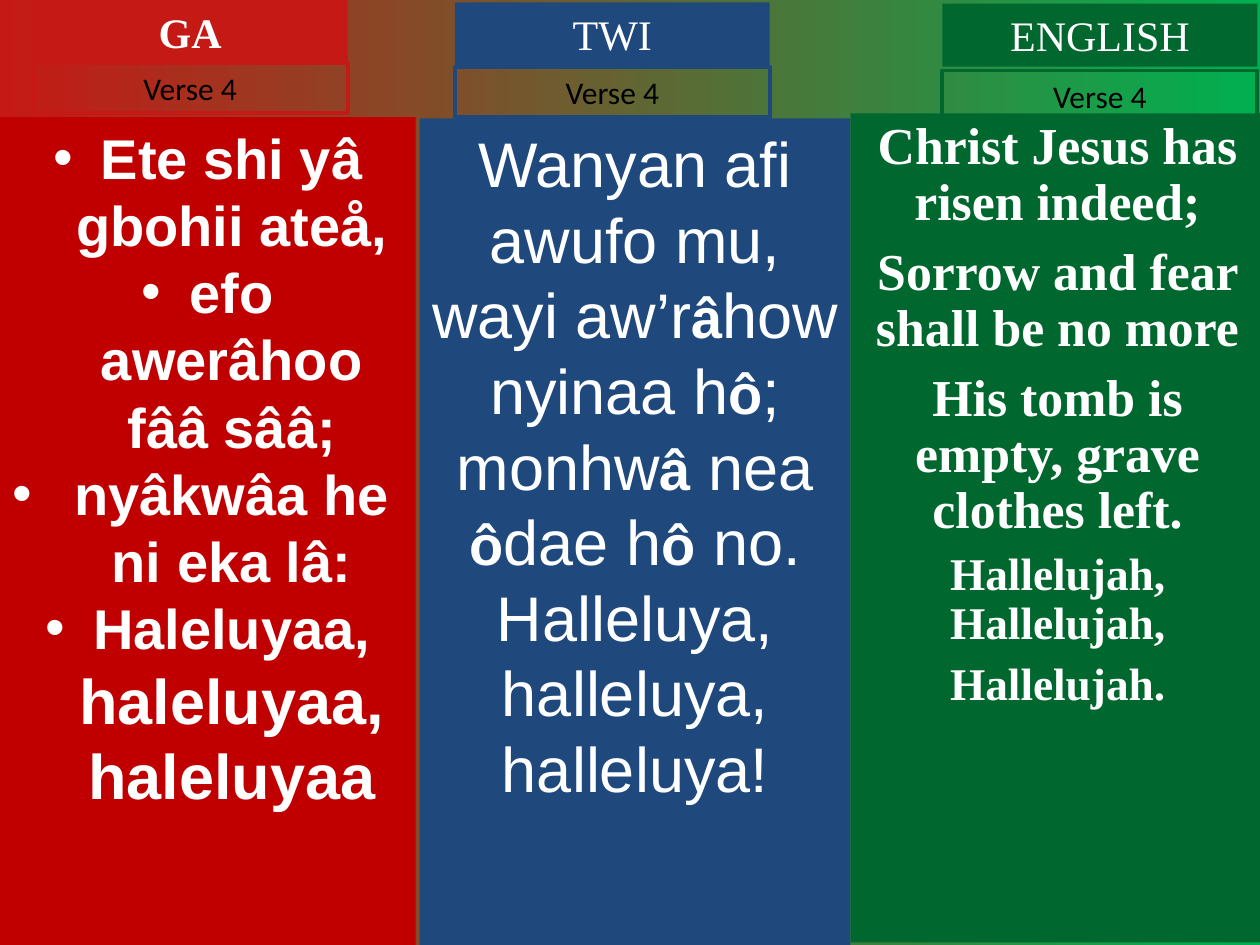
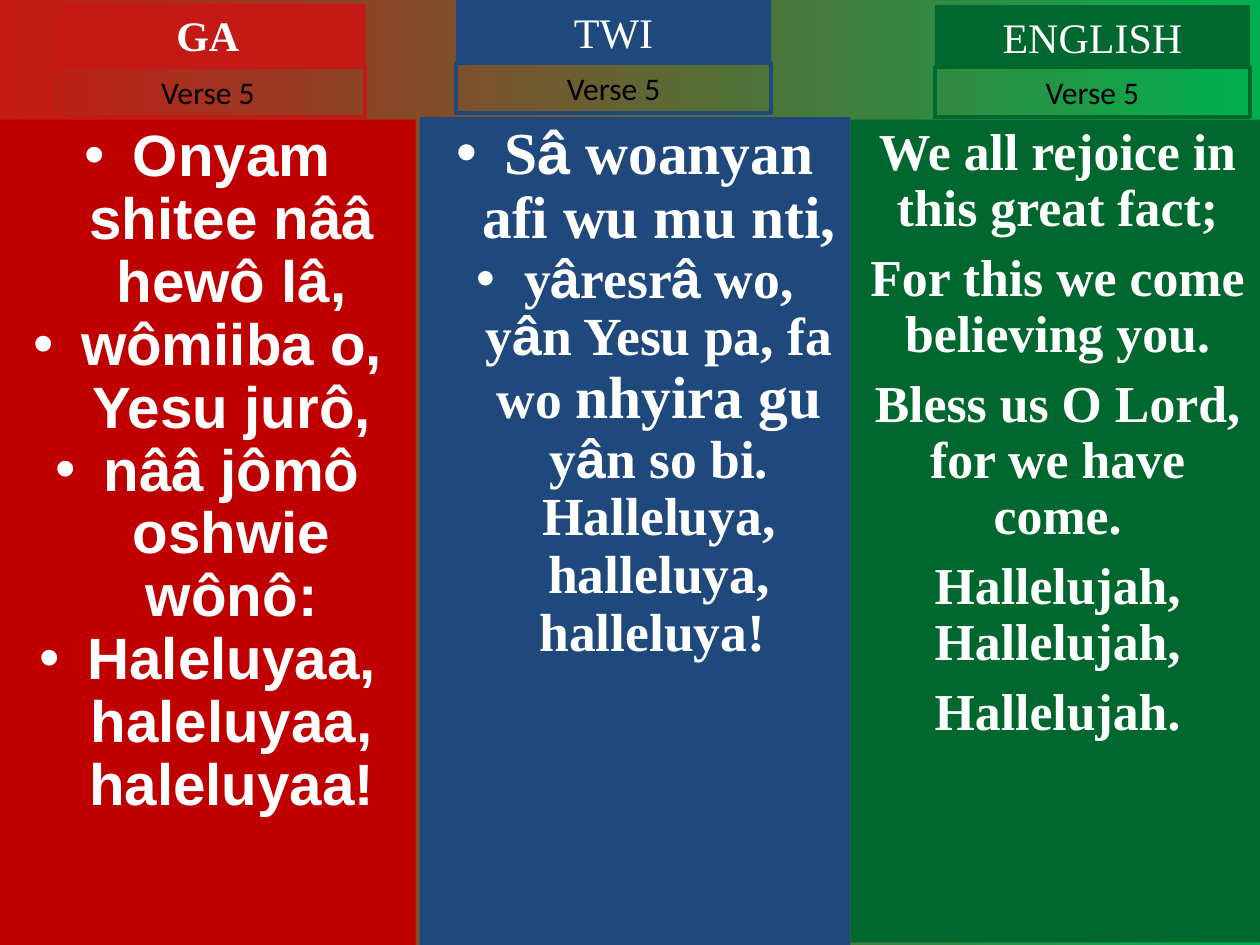
from dataclasses import dataclass
from itertools import groupby
from typing import Any

import pptx
import pptx.dml.color
import pptx.enum.shapes
import pptx.enum.text
import pptx.oxml.ns
import pptx.util
from lxml import etree

COLS, ROWS = 100, 75
RED, BLUE, GREEN = "C51915", "1F497D", "00682F"
SERIF, SANS = "Times New Roman", "Arial"
WHITE = "FFFFFF"
HANGING = 0.38
ACCENTED = "âô"

prs = pptx.Presentation()
prs.slide_width = pptx.util.Inches(10)
prs.slide_height = pptx.util.Inches(7.5)


@dataclass(frozen=True)
class Language:
    name: str
    heading_color: str
    body_color: str
    body_col: float
    body_cols: float
    body_bottom: float
    bold_heading: bool = False


GA = Language("GA", RED, "C00000", 0, 33, 75, bold_heading=True)
TWI = Language("TWI", BLUE, BLUE, 33.3, 34.2, 75)
ENGLISH = Language("ENGLISH", GREEN, GREEN, 67.5, 32.9, 74.8)


@dataclass(frozen=True)
class Run:
    text: str
    size: float
    font: str = SERIF
    bold: bool = True
    color: str = WHITE


@dataclass(frozen=True)
class Line:
    runs: list[Run]
    bullet: bool = False
    spacing: float = 1.0
    before: float = 0
    hanging: float = HANGING


@dataclass(frozen=True)
class Column:
    language: Language
    heading_col: float
    heading_row: float
    verse_row: float
    body_row: float
    lines: list[Line]


def rgb(color: str) -> pptx.dml.color.RGBColor:
    return pptx.dml.color.RGBColor.from_string(color)


def across(cols: float) -> int:
    return round(prs.slide_width * cols / COLS)


def down(rows: float) -> int:
    return round(prs.slide_height * rows / ROWS)


def set_all(target: Any, values: dict[str, Any]) -> None:
    for name, value in values.items():
        setattr(target, name, value)


def add_bullet(p: Any, hanging: float) -> None:
    pPr = p._p.get_or_add_pPr()
    pPr.set("marL", str(pptx.util.Inches(HANGING)))
    pPr.set("indent", str(-pptx.util.Inches(hanging)))
    qn = pptx.oxml.ns.qn
    color = etree.SubElement(pPr, qn("a:buClr"))
    etree.SubElement(color, qn("a:srgbClr"), val=WHITE)
    etree.SubElement(pPr, qn("a:buFont"), typeface=SANS)
    etree.SubElement(pPr, qn("a:buChar"), char="•")


def add_box(s: Any, col: float, row: float, cols: float, rows: float, lines: list[Line],
            fill: str = "", outline: str = "", grow: bool = False) -> None:
    sp = s.shapes.add_shape(pptx.enum.shapes.MSO_SHAPE.RECTANGLE,
                            across(col), down(row), across(cols), down(rows))
    sp.shadow.inherit = False
    if fill:
        sp.fill.solid()
        sp.fill.fore_color.rgb = rgb(fill)
    else:
        sp.fill.background()
    if outline:
        sp.line.color.rgb = rgb(outline)
        sp.line.width = pptx.util.Pt(2.25)
    else:
        sp.line.fill.background()
    sizes = pptx.enum.text.MSO_AUTO_SIZE
    tf = sp.text_frame
    set_all(tf, {"word_wrap": True,
                 "vertical_anchor": pptx.enum.text.MSO_ANCHOR.TOP,
                 "auto_size": sizes.SHAPE_TO_FIT_TEXT if grow else sizes.NONE})
    for i, line in enumerate(lines):
        p = tf.add_paragraph() if i else tf.paragraphs[0]
        if line.bullet:
            add_bullet(p, line.hanging)
        set_all(p, {"alignment": pptx.enum.text.PP_ALIGN.CENTER,
                    "line_spacing": line.spacing,
                    "space_before": pptx.util.Pt(line.before if i else 0)})
        for run in line.runs:
            r = p.add_run()
            r.text = run.text
            set_all(r.font, {"size": pptx.util.Pt(run.size), "name": run.font,
                             "bold": run.bold})
            r.font.color.rgb = rgb(run.color)


def add_verse_slide(verse: str, columns: list[Column]) -> None:
    s = prs.slides.add_slide(prs.slide_layouts[6])
    fill = s.background.fill
    fill.gradient()
    fill.gradient_angle = 0
    for stop, color in zip(fill.gradient_stops, (RED, "00B050")):
        stop.color.rgb = rgb(color)
    for c in columns:
        lang = c.language
        add_box(s, lang.body_col, c.body_row, lang.body_cols,
                lang.body_bottom - c.body_row, c.lines, fill=lang.body_color)
    for c in columns:
        lang = c.language
        heading = Run(lang.name, 24, bold=lang.bold_heading)
        label = Run(verse, 18, "Calibri", False, "000000")
        add_box(s, c.heading_col, c.heading_row, 25, 5, [Line([heading])],
                fill=lang.heading_color, grow=True)
        add_box(s, c.heading_col, c.verse_row, 25, 4, [Line([label])],
                outline=lang.heading_color, grow=True)


def accent_runs(text: str, plain: dict[str, Any], accent: dict[str, Any]) -> list[Run]:
    """Split text so that accented vowels get a format of their own."""
    return [Run("".join(letters), **(accent if special else plain))
            for special, letters in groupby(text, lambda letter: letter in ACCENTED)]


def serif_runs(text: str, size: float) -> list[Run]:
    return accent_runs(text, {"size": size}, {"size": size, "font": SANS})


def english(text: str, size: float = 29.6, before: float = 8) -> Line:
    return Line([Run(text, size)], spacing=0.9, before=before)


def ga(text: str, size: float, spacing: float = 1.0, hanging: float = HANGING) -> Line:
    return Line([Run(text, size, SANS)], True, spacing, hanging=hanging)


ga_4 = [
    ga("Ete shi yâ gbohii ateå,", 32),
    ga("efo awerâhoo fââ sââ;", 32),
    ga("nyâkwâa he ni eka lâ:", 32, hanging=0.56),
    Line([Run("Haleluyaa, ", 32, SANS), Run("haleluyaa, haleluyaa", 36, SANS)], True),
]
twi_4 = [Line(accent_runs(
    "Wanyan afi awufo mu, wayi aw’râhow nyinaa hô; monhwâ nea ôdae hô no. "
    "Halleluya, halleluya, halleluya!",
    {"size": 36, "font": SANS, "bold": False}, {"size": 32, "font": SANS}))]
english_4 = [
    english("Christ Jesus has risen indeed;"),
    english("Sorrow and fear shall be no more"),
    english("His tomb is empty, grave clothes left."),
    english("Hallelujah, Hallelujah,", 25.9, 7),
    english("Hallelujah.", 25.9, 7),
]

ga_5 = [ga(text, 33.3, 0.9) for text in (
    "Onyam shitee nââ hewô lâ,",
    "wômiiba o, Yesu jurô,",
    "nââ jômô oshwie wônô:",
    "Haleluyaa, haleluyaa, haleluyaa!",
)]
twi_5 = [
    Line(serif_runs("Sâ woanyan afi wu mu nti, ", 34), True, 0.9),
    Line(serif_runs("yâresrâ wo, yân Yesu pa, fa wo ", 30.6)
         + serif_runs("nhyira gu ", 34)
         + serif_runs("yân so bi. Halleluya, halleluya, halleluya! ", 30.6), True, 0.9),
]
english_5 = [english(text) for text in (
    "We all rejoice in this great fact;",
    "For this we come believing you.",
    "Bless us O Lord, for we have come.",
    "Hallelujah, Hallelujah,",
    "Hallelujah.",
)]

add_verse_slide("Verse 4", [
    Column(GA, 2.6, 0, 5, 9.3, ga_4),
    Column(TWI, 36.1, 0.2, 5.3, 9.4, twi_4),
    Column(ENGLISH, 74.8, 0.3, 5.6, 9, english_4),
])
add_verse_slide("Verse 5", [
    Column(GA, 4, 0.3, 5.3, 9.5, ga_5),
    Column(TWI, 36.2, 0, 5, 9.3, twi_5),
    Column(ENGLISH, 74.2, 0.4, 5.3, 9.5, english_5),
])
prs.save("out.pptx")
